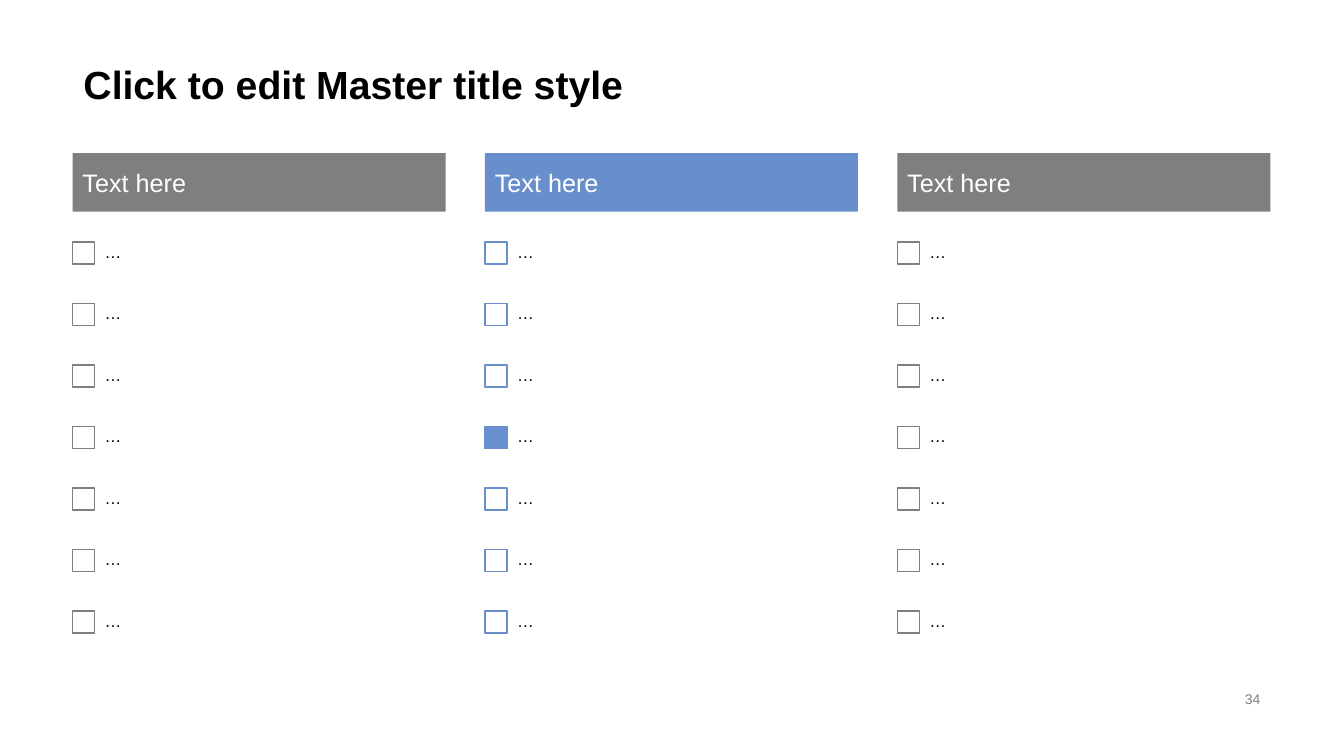
"""Build a three-column checklist slide."""
from pptx import Presentation
from pptx.dml.color import RGBColor
from pptx.enum.shapes import MSO_SHAPE
from pptx.enum.text import MSO_ANCHOR, PP_ALIGN
from pptx.util import Emu, Pt

RECTANGLE = MSO_SHAPE.RECTANGLE
MIDDLE, BOTTOM = MSO_ANCHOR.MIDDLE, MSO_ANCHOR.BOTTOM
LEFT, RIGHT = PP_ALIGN.LEFT, PP_ALIGN.RIGHT

BLACK = RGBColor(0x00, 0x00, 0x00)
WHITE = RGBColor(0xFF, 0xFF, 0xFF)
GRAY = RGBColor(0x7F, 0x7F, 0x7F)
BLUE = RGBColor(0x68, 0x8F, 0xCC)
CHECKED_BLUE = RGBColor(0x69, 0x8F, 0xCE)

FONT = "Arial"
EMU_PER_PX = 9144
COLUMN_LEFT, COLUMN_PITCH, COLUMN_WIDTH = 72, 409, 370
HEADER_TOP, HEADER_HEIGHT = 152, 58
ROW_TOP, ROW_PITCH, ROW_HEIGHT = 225, 61, 52
CHECKBOX_SIZE = 22
CHECKBOX_OFFSET = (ROW_HEIGHT - CHECKBOX_SIZE) // 2
ITEMS = ["…"] * 7
COLUMNS = [
    ("Text here", GRAY, None),
    ("Text here", BLUE, 3),
    ("Text here", GRAY, None),
]


def px(*lengths):
    """Turn px lengths into EMU."""
    return [Emu(length * EMU_PER_PX) for length in lengths]


def write_text(box, text, size, color, anchor=MIDDLE, align=LEFT,
               spacing=1.0, bold=False):
    """Fill a shape with one formatted paragraph."""
    frame = box.text_frame
    frame.word_wrap = True
    frame.vertical_anchor = anchor
    frame.text = text
    para = frame.paragraphs[0]
    para.alignment = align
    para.line_spacing = spacing
    font = para.runs[0].font
    font.name = FONT
    font.size = Pt(size)
    font.bold = bold
    font.color.rgb = color


def add_label(page, bounds, text, size, color, **style):
    """Add a text box."""
    box = page.shapes.add_textbox(*px(*bounds))
    write_text(box, text, size, color, **style)


def add_rectangle(page, bounds, fill, line=None):
    """Add a filled rectangle with an optional outline."""
    box = page.shapes.add_shape(RECTANGLE, *px(*bounds))
    box.shadow.inherit = False
    box.fill.solid()
    box.fill.fore_color.rgb = fill
    if line is None:
        box.line.fill.background()
    else:
        box.line.color.rgb = line
        box.line.width = Pt(1)
    return box


def add_item(page, left, top, text, color, checked):
    """Add a checkbox with its label."""
    add_rectangle(
        page, (left, top + CHECKBOX_OFFSET, CHECKBOX_SIZE, CHECKBOX_SIZE),
        CHECKED_BLUE if checked else WHITE, color)
    add_label(
        page, (left + CHECKBOX_SIZE, top,
               COLUMN_WIDTH - CHECKBOX_SIZE, ROW_HEIGHT),
        text, 12, BLACK, spacing=0.9)


def add_column(page, left, heading, color, checked_row):
    """Add a header bar with its checklist."""
    header = add_rectangle(
        page, (left, HEADER_TOP, COLUMN_WIDTH, HEADER_HEIGHT), color)
    write_text(header, heading, 18, WHITE)
    for row, text in enumerate(ITEMS):
        add_item(page, left, ROW_TOP + row * ROW_PITCH, text, color,
                 row == checked_row)


def main():
    """Build and save the deck."""
    deck = Presentation()
    deck.slide_width, deck.slide_height = px(1333, 750)
    page = deck.slides.add_slide(deck.slide_layouts[6])
    add_label(page, (73, 0, 1187, 112), "Click to edit Master title style",
              28, BLACK, anchor=BOTTOM, spacing=0.9, bold=True)
    add_label(page, (942, 682, 318, 23), "34", 10, GRAY, align=RIGHT)
    for index, column in enumerate(COLUMNS):
        add_column(page, COLUMN_LEFT + index * COLUMN_PITCH, *column)
    deck.save("out.pptx")


if __name__ == "__main__":
    main()
